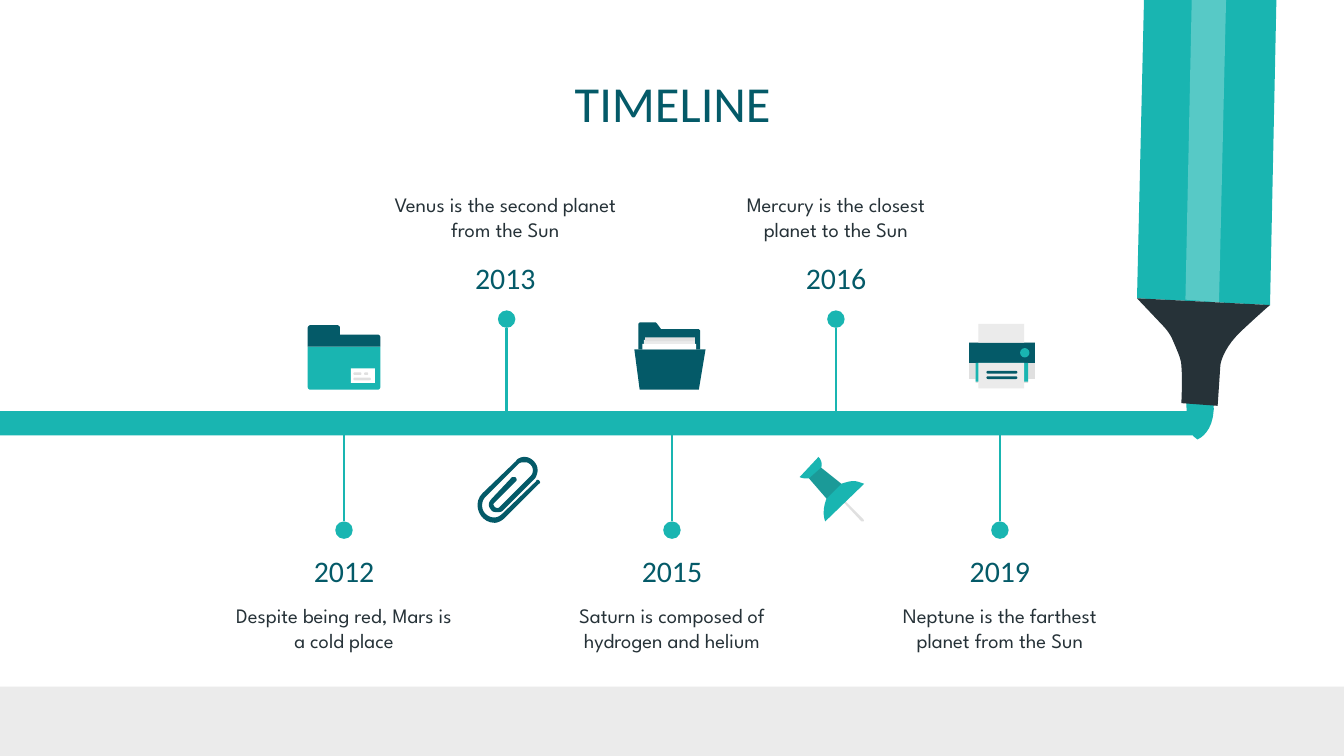
import pptx
import pptx.dml.color
import pptx.enum.shapes
import pptx.enum.text
import pptx.oxml
import pptx.oxml.ns
import pptx.util

Inches = pptx.util.Inches
Shape = pptx.enum.shapes.MSO_SHAPE
COLORS = {"teal": "19B5B1", "navy": "045A68", "ink": "263238", "white": "FFFFFF",
          "pale": "EBEBEB", "gray": "E0E0E0"}
UNIT = Inches(0.01)
BAR_MIDDLE = 3.16
TEXT_WIDTH = 1.85


def paint(shape, color, opacity=None):
    """Give a shape a plain fill without line or shadow."""
    shape.shadow.inherit = False
    shape.fill.solid()
    shape.fill.fore_color.rgb = pptx.dml.color.RGBColor.from_string(COLORS[color])
    shape.line.fill.background()
    if opacity:
        tint = shape._element.spPr.find(".//" + pptx.oxml.ns.qn("a:srgbClr"))
        alpha = pptx.oxml.parse_xml(f'<a:alpha {pptx.oxml.ns.nsdecls("a")} val="{opacity * 1000}"/>')
        tint.append(alpha)


def preset(shapes, kind, color, left, top, width, height):
    """Add a filled preset shape, measured in inches."""
    shape = shapes.add_shape(kind, Inches(left), Inches(top), Inches(width), Inches(height))
    paint(shape, color)
    return shape


def flatten(outline, steps=10):
    """Turn corner pairs and six-number cubic curves into points."""
    points = [outline[0]]
    for part in outline[1:]:
        if len(part) == 2:
            points.append(part)
            continue
        knots = [points[-1], part[:2], part[2:4], part[4:]]
        for step in range(1, steps + 1):
            t = step / steps
            weights = ((1 - t) ** 3, 3 * t * (1 - t) ** 2, 3 * t * t * (1 - t), t ** 3)
            points.append(tuple(sum(w * knot[axis] for w, knot in zip(weights, knots))
                                for axis in (0, 1)))
    return points


class Drawing:
    """A group whose parts are placed in hundredths of an inch from its corner."""

    def __init__(self, page, left, top):
        """Start an empty group at the given corner."""
        self.left, self.top = left, top
        self.shapes = page.shapes.add_group_shape().shapes

    def outline(self, color, *outline, opacity=None):
        """Add a closed outline of lines and curves."""
        points = [(x * UNIT, y * UNIT) for x, y in flatten(outline)]
        builder = self.shapes.build_freeform(*points[0])
        builder.add_line_segments(points[1:], close=True)
        paint(builder.convert_to_shape(Inches(self.left), Inches(self.top)), color, opacity)

    def block(self, color, x, y, width, height, kind=Shape.RECTANGLE):
        """Add a preset shape inside the group."""
        return preset(self.shapes, kind, color, self.left + x / 100, self.top + y / 100,
                      width / 100, height / 100)

    def bars(self, color, *boxes):
        """Add short bars with round ends."""
        for box in boxes:
            self.block(color, *box, kind=Shape.ROUNDED_RECTANGLE).adjustments[0] = 0.5


def draw_marker(page, left, top):
    """Draw the highlighter pen."""
    pen = Drawing(page, left, top)
    pen.outline("teal", (99, 432), (108, 0), (10, 1), (0, 427))
    pen.outline("teal", (45, 532), (45, 532, 59, 527, 57, 503), (37, 502), (37, 502, 35, 527, 45, 532))
    pen.outline("ink", (60, 507), (62, 477), (62, 477, 63, 465, 78, 451), (93, 437, 99, 432, 99, 432),
                (0, 427), (18, 446), (22, 450, 25, 454, 27, 459), (29, 464, 33, 472, 33, 477),
                (34, 487, 33, 505, 33, 505))
    pen.outline("white", (61, 430), (71, 0), (45, 1), (36, 428), opacity=27)


def draw_folder(page, left, top):
    """Draw the closed folder with its label."""
    folder = Drawing(page, left, top)
    folder.outline("teal", (0, 16), (0, 46), (0, 47, 1, 48, 2, 48), (52, 48),
                   (53, 48, 54, 47, 54, 46), (54, 16))
    folder.outline("navy", (22, 0), (2, 0), (1, 0, 0, 1, 0, 2), (0, 16), (54, 16), (54, 9),
                   (54, 8, 53, 7, 52, 7), (24, 7), (24, 2), (24, 1, 23, 0, 22, 0))
    folder.block("white", 32, 32, 18, 11)
    folder.bars("gray", (34, 35, 6, 2), (42, 35, 3, 2), (34, 39, 13, 2))


def draw_open_folder(page, left, top):
    """Draw the open folder with papers."""
    folder = Drawing(page, left, top)
    folder.outline("navy", (0, 20), (4, 50), (48, 50), (53, 20))
    folder.outline("navy", (4, 0), (3, 1), (3, 20), (49, 20), (49, 6), (48, 5), (20, 5), (17, 1), (16, 0))
    folder.block("white", 6, 16, 40, 4)
    folder.block("pale", 7, 13, 38, 3)
    folder.block("gray", 8, 11, 37, 3)


def draw_printer(page, left, top):
    """Draw the printer."""
    printer = Drawing(page, left, top)
    printer.outline("gray", (0, 14), (0, 41), (5, 41), (5, 44), (7, 44), (7, 29), (41, 29),
                    (41, 44), (44, 44), (44, 41), (49, 41), (49, 14))
    printer.block("navy", 0, 14, 49, 15)
    printer.block("teal", 5, 29, 39, 14)
    printer.block("pale", 7, 0, 34, 14)
    printer.block("pale", 7, 29, 34, 19)
    printer.bars("navy", (13, 35, 23, 2), (13, 39, 23, 2))
    printer.block("teal", 38, 18, 7, 7, kind=Shape.OVAL)


def draw_pin(page, left, top):
    """Draw the push pin."""
    pin = Drawing(page, left, top)
    pin.outline("gray", (34, 33), (33, 33, 32, 34, 33, 34), (46, 48), (47, 48), (48, 48, 48, 47, 47, 46))
    pin.outline("teal", (14, 0), (0, 15), (2, 16, 4, 16, 6, 16), (7, 16), (20, 31),
                (20, 31, 16, 40, 19, 48), (48, 20), (45, 19, 43, 18, 40, 18),
                (37, 18, 34, 19, 31, 20), (16, 8), (17, 5, 16, 2, 14, 0))
    pin.outline("ink", (16, 8), (7, 16), (20, 31), (31, 20), opacity=20)


def draw_clip(page, left, top):
    """Draw the paper clip."""
    clip = Drawing(page, left, top)
    clip.outline("navy", (39, 0), (37, 0, 34, 1, 33, 3), (8, 27), (0, 35, 6, 49, 17, 49),
                 (20, 49, 23, 47, 25, 45), (50, 20), (52, 19, 50, 17, 49, 17),
                 (49, 17, 48, 17, 48, 18), (23, 42), (21, 44, 19, 45, 17, 45),
                 (14, 45, 12, 44, 10, 42), (7, 39, 7, 33, 10, 30), (35, 5),
                 (36, 4, 38, 4, 39, 4), (41, 4, 42, 4, 44, 6), (46, 8, 46, 12, 44, 14), (21, 37),
                 (20, 38, 20, 38, 19, 38), (17, 38, 15, 35, 17, 34), (33, 18),
                 (34, 17, 33, 15, 32, 15), (31, 15, 31, 15, 30, 15), (15, 31),
                 (12, 34, 12, 37, 15, 40), (16, 41, 17, 41, 19, 41), (21, 41, 22, 41, 23, 40),
                 (47, 16), (48, 15, 49, 12, 49, 10), (49, 7, 48, 5, 46, 3), (44, 1, 42, 0, 39, 0))


def write(box, text, size, font, color, anchor=pptx.enum.text.MSO_ANCHOR.TOP):
    """Write one centred run into a text holder."""
    frame = box.text_frame
    frame.word_wrap = True
    frame.auto_size = pptx.enum.text.MSO_AUTO_SIZE.NONE
    frame.vertical_anchor = anchor
    frame.margin_left = frame.margin_right = frame.margin_top = frame.margin_bottom = Inches(0.1)
    para = frame.paragraphs[0]
    para.alignment = pptx.enum.text.PP_ALIGN.CENTER
    span = para.add_run()
    span.text = text
    span.font.size = pptx.util.Pt(size)
    span.font.name = font
    span.font.color.rgb = pptx.dml.color.RGBColor.from_string(COLORS[color])


def add_event(page, center, text_center, above, year, note):
    """Add a stem with its dot, the year and the note on one side of the bar."""
    end, dot_top, year_top, note_top, note_height = (
        (2.44, 2.31, 1.83, 1.33, 0.56) if above else (3.88, 3.88, 4.01, 4.39, 0.49))
    stem = page.shapes.add_connector(pptx.enum.shapes.MSO_CONNECTOR.STRAIGHT, Inches(center),
                                     Inches(BAR_MIDDLE), Inches(center), Inches(end))
    stem.line.width = pptx.util.Pt(1.5)
    stem.line.color.rgb = pptx.dml.color.RGBColor.from_string(COLORS["teal"])
    stem._element.spPr.append(pptx.oxml.parse_xml(f'<a:effectLst {pptx.oxml.ns.nsdecls("a")}/>'))
    dot = 0.13
    preset(page.shapes, Shape.OVAL, "teal", center - dot / 2, dot_top, dot, dot)
    for text, top, height, style in ((year, year_top, 0.35, (16, "Calibri", "navy")),
                                     (note, note_top, note_height, (11, "League Spartan", "ink"))):
        box = page.shapes.add_textbox(Inches(text_center - TEXT_WIDTH / 2), Inches(top),
                                      Inches(TEXT_WIDTH), Inches(height))
        write(box, text, *style)


def build_timeline(deck):
    """Build the timeline slide."""
    page = deck.slides.add_slide(deck.slide_layouts[5])
    title = page.shapes.title
    title.left, title.top, title.width, title.height = map(Inches, (0.79, 0.59, 8.43, 0.35))
    write(title, "TIMELINE", 27, "Calibri", "navy", pptx.enum.text.MSO_ANCHOR.MIDDLE)
    preset(page.shapes, Shape.RECTANGLE, "pale", 0, 5.11, 10, 0.52)
    preset(page.shapes, Shape.RECTANGLE, "teal", 0, 3.06, 8.92, 0.18)
    draw_marker(page, 8.46, -2.05)
    draw_folder(page, 2.29, 2.42)
    draw_open_folder(page, 4.72, 2.4)
    draw_printer(page, 7.21, 2.41)
    draw_pin(page, 5.95, 3.4)
    draw_clip(page, 3.51, 3.4)
    for event in ((2.56, 2.56, False, "2012", "Despite being red, Mars is a cold place"),
                  (5, 5, False, "2015", "Saturn is composed of hydrogen and helium"),
                  (7.44, 7.44, False, "2019", "Neptune is the farthest planet from the Sun"),
                  (3.77, 3.76, True, "2013", "Venus is the second planet from the Sun"),
                  (6.22, 6.22, True, "2016", "Mercury is the closest planet to the Sun")):
        add_event(page, *event)


def main():
    """Create and save the deck."""
    deck = pptx.Presentation()
    deck.slide_width = Inches(10)
    deck.slide_height = deck.slide_width * 9 // 16
    build_timeline(deck)
    deck.save("out.pptx")


if __name__ == "__main__":
    main()
